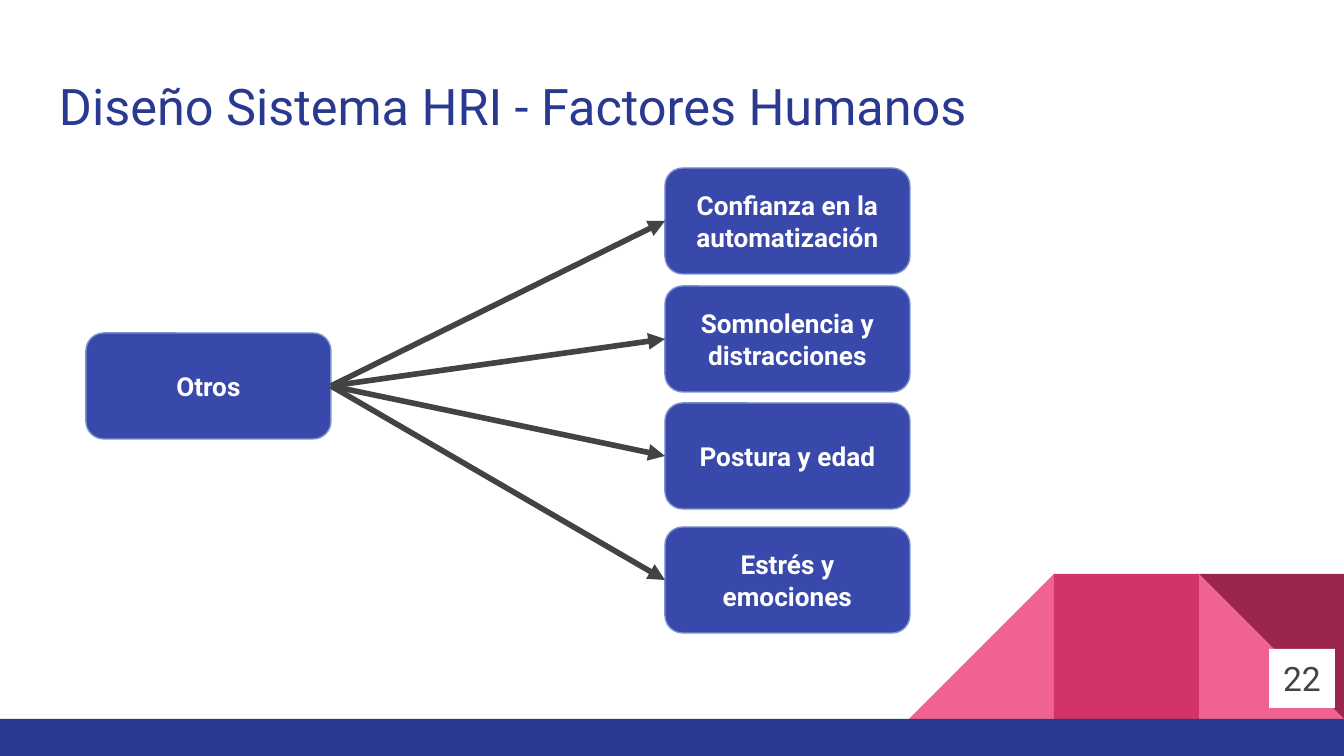
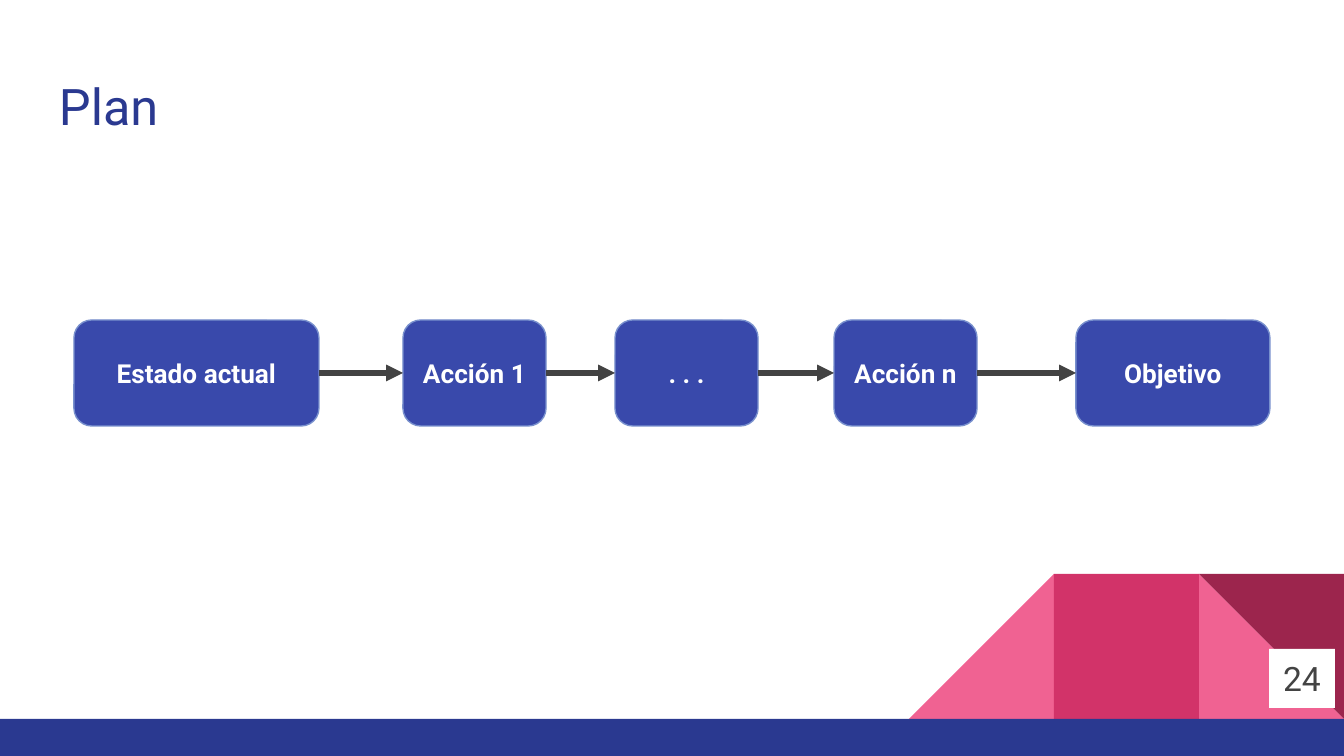
from lxml import etree
from pptx import Presentation
from pptx.dml.color import RGBColor
from pptx.enum.shapes import MSO_CONNECTOR, MSO_SHAPE
from pptx.enum.text import MSO_ANCHOR, PP_ALIGN
from pptx.oxml.ns import qn
from pptx.util import Pt

SLIDE_WIDTH, SLIDE_HEIGHT = 1344, 756
EMU_PER_PX = 9144000 / SLIDE_WIDTH

NAVY = RGBColor(0x2A, 0x39, 0x90)
INDIGO = RGBColor(0x39, 0x49, 0xAB)
BOX_EDGE = RGBColor(0x78, 0x90, 0xCD)
PINK = RGBColor(0xF0, 0x62, 0x92)
CRIMSON = RGBColor(0xD2, 0x33, 0x69)
WINE = RGBColor(0x9C, 0x25, 0x4D)
GREY = RGBColor(0x43, 0x43, 0x43)
WHITE = RGBColor(0xFF, 0xFF, 0xFF)

FONT = "Roboto"
TITLE_STYLE = {"size": Pt(27), "color": NAVY, "align": PP_ALIGN.LEFT}
NODE_STYLE = {"size": Pt(14), "bold": True, "color": WHITE}
PAGE_STYLE = {"size": Pt(18), "color": GREY}

NODE_WIDTH, NODE_HEIGHT = 245, 106
LEFT_SIDE, RIGHT_SIDE = 1, 3


def px(*lengths):
    return [round(length * EMU_PER_PX) for length in lengths]


def write(shape, text, size, color, bold=False, align=PP_ALIGN.CENTER):
    frame = shape.text_frame
    inset = px(13)[0]
    frame_format = {
        "word_wrap": True,
        "vertical_anchor": MSO_ANCHOR.MIDDLE,
        "margin_left": inset,
        "margin_right": inset,
        "margin_top": inset,
        "margin_bottom": inset,
    }
    for name, value in frame_format.items():
        setattr(frame, name, value)
    paragraph = frame.paragraphs[0]
    paragraph.alignment = align
    run = paragraph.add_run()
    run.text = text
    for name, value in {"name": FONT, "size": size, "bold": bold}.items():
        setattr(run.font, name, value)
    run.font.color.rgb = color


def add_block(slide, preset, box, fill):
    shape = slide.shapes.add_shape(preset, *px(*box))
    shape.shadow.inherit = False
    shape.fill.solid()
    shape.fill.fore_color.rgb = fill
    shape.line.fill.background()
    return shape


def add_node(slide, text, left, top, width=NODE_WIDTH):
    box = (left, top, width, NODE_HEIGHT)
    node = add_block(slide, MSO_SHAPE.ROUNDED_RECTANGLE, box, INDIGO)
    node.adjustments[0] = 0.167
    node.line.color.rgb = BOX_EDGE
    node.line.width = Pt(0.75)
    write(node, text, **NODE_STYLE)
    return node


def add_arrow(slide, start, end):
    """Join the right side of one node to the left side of another."""
    arrow = slide.shapes.add_connector(MSO_CONNECTOR.STRAIGHT, 0, 0, 0, 0)
    arrow.begin_connect(start, RIGHT_SIDE)
    arrow.end_connect(end, LEFT_SIDE)
    arrow.line.color.rgb = GREY
    arrow.line.width = Pt(3)
    properties = arrow._element.spPr
    etree.SubElement(properties.find(qn("a:ln")), qn("a:tailEnd"), type="triangle")
    etree.SubElement(properties, qn("a:effectLst"))


def add_corner_pattern(slide, left, top, side):
    """Draw three square tiles in a row, the outer ones cut along a diagonal."""
    first, middle, last = [(left + i * side, top, side, side) for i in range(3)]
    add_block(slide, MSO_SHAPE.RIGHT_TRIANGLE, last, PINK)
    slope = add_block(slide, MSO_SHAPE.RIGHT_TRIANGLE, first, PINK)
    slope._element.spPr.find(qn("a:xfrm")).set("flipH", "1")
    add_block(slide, MSO_SHAPE.RECTANGLE, middle, CRIMSON)
    add_block(slide, MSO_SHAPE.RIGHT_TRIANGLE, last, WINE).rotation = 180


def add_base_slide(presentation, title):
    slide = presentation.slides.add_slide(presentation.slide_layouts[6])
    slide.background.fill.solid()
    slide.background.fill.fore_color.rgb = WHITE
    add_corner_pattern(slide, 909, 574, 145)
    add_block(slide, MSO_SHAPE.RECTANGLE, (0, 719, SLIDE_WIDTH, 37), NAVY)
    write(slide.shapes.add_textbox(*px(46, 61, 1252, 89)), title, **TITLE_STYLE)
    return slide


def add_page_number(slide, number):
    badge = add_block(slide, MSO_SHAPE.RECTANGLE, (1269, 649, 66, 59), WHITE)
    write(badge, str(number), **PAGE_STYLE)


def add_fan(slide, left, top, root_text, branches):
    """Draw a root node with an arrow to each branch, given as (text, offset)."""
    root = add_node(slide, root_text, left, top + 165)
    for text, offset in branches:
        branch = add_node(slide, text, left + 579, top + offset)
        add_arrow(slide, root, branch)


def add_chain(slide, left, top, steps):
    """Draw nodes in a row, given as (text, offset, width), joined by arrows."""
    nodes = [add_node(slide, text, left + offset, top, width)
             for text, offset, width in steps]
    for start, end in zip(nodes, nodes[1:]):
        add_arrow(slide, start, end)


def build_factors_slide(presentation):
    slide = add_base_slide(presentation, "Diseño Sistema HRI - Factores Humanos")
    add_fan(slide, 86, 168, "Otros", [
        ("Confianza en la automatización", 0),
        ("Somnolencia y distracciones", 118),
        ("Postura y edad", 235),
        ("Estrés y emociones", 359),
    ])
    add_page_number(slide, 22)


def build_plan_slide(presentation):
    slide = add_base_slide(presentation, "Plan")
    action_width = 143
    add_chain(slide, 74, 320, [
        ("Estado actual", 0, NODE_WIDTH),
        ("Acción 1", 329, action_width),
        (". . .", 541, action_width),
        ("Acción n", 760, action_width),
        ("Objetivo", 1002, 194),
    ])
    add_page_number(slide, 24)


def main():
    presentation = Presentation()
    presentation.slide_width, presentation.slide_height = px(SLIDE_WIDTH, SLIDE_HEIGHT)
    build_factors_slide(presentation)
    build_plan_slide(presentation)
    presentation.save("out.pptx")


if __name__ == "__main__":
    main()
